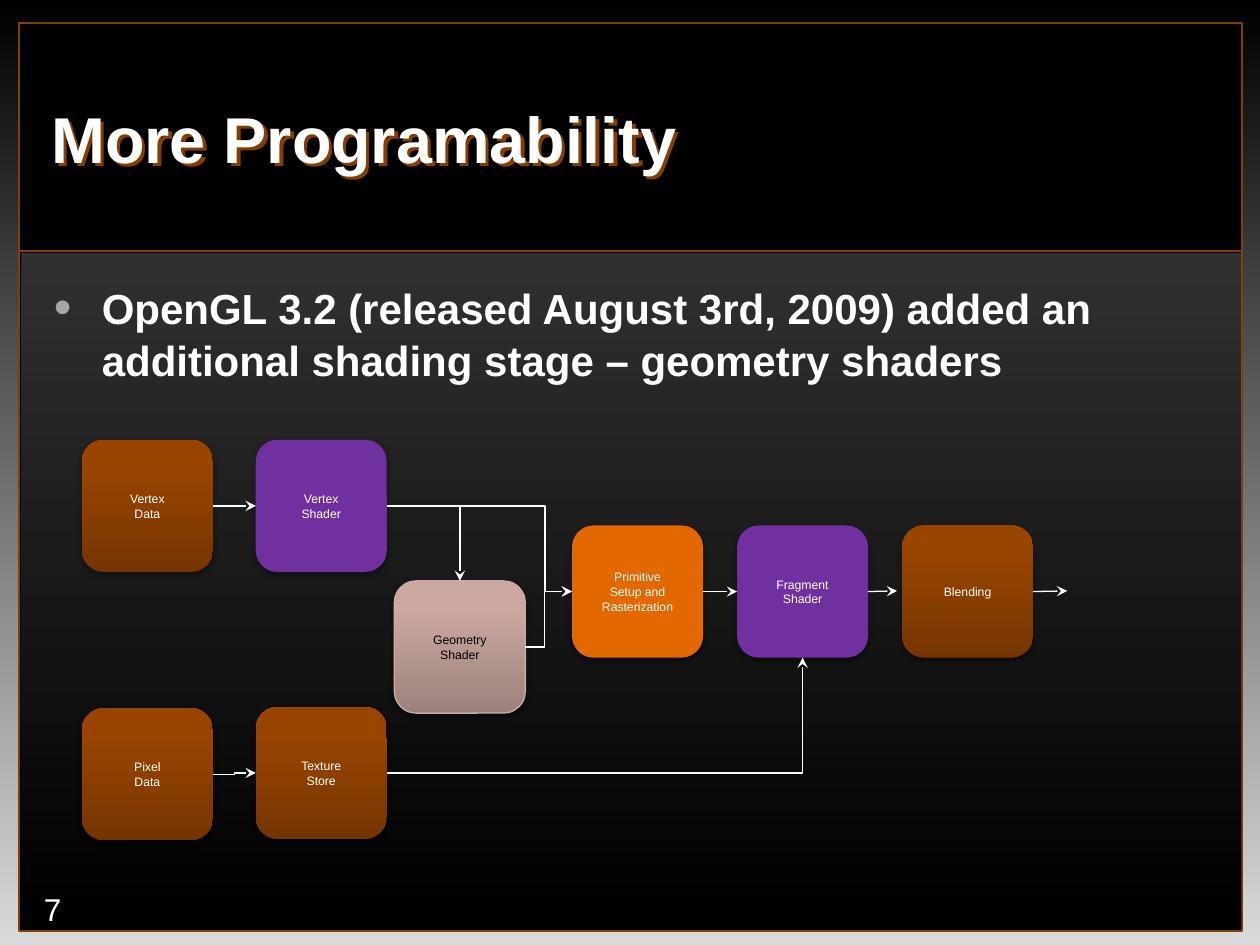
"""Build the slide about the geometry shader stage."""
from typing import NamedTuple, Optional

from lxml.etree import SubElement
from pptx import Presentation
from pptx.dml.color import RGBColor
from pptx.enum.shapes import MSO_CONNECTOR, MSO_SHAPE
from pptx.enum.text import MSO_ANCHOR, PP_ALIGN
from pptx.oxml.ns import qn
from pptx.util import Inches, Pt

RUST, WHITE, BLACK, PURPLE = "863D00", "FFFFFF", "000000", "7030A0"
BROWN = [(0, "763500"), (80, "994500"), (100, "9A4500")]
ROSE = [(0, "9C827B"), (80, "CBA9A0"), (100, "CCA9A0")]
TOP, LEFT, BASE, RIGHT = range(4)
WIDE, HIGH = 1.04, 1.05


class Stage(NamedTuple):
    """A box of the pipeline."""
    name: str
    x: float
    y: float
    fill: object
    lines: list
    ink: str = WHITE
    edge: Optional[str] = None


class Link(NamedTuple):
    """An arrow from one stage to another, or to a free end."""
    start: str
    goal: Optional[str] = None
    kind: str = "line"
    out: int = RIGHT
    into: int = LEFT
    bend: Optional[float] = None
    free: tuple = (0, 0)


STAGES = [
    Stage("setup", 4.54, 4.17, "E46800", ["Primitive", "Setup and Rasterization"]),
    Stage("fragment", 5.85, 4.17, PURPLE, ["Fragment\nShader"]),
    Stage("blend", 7.16, 4.17, BROWN, ["Blending"]),
    Stage("data", 0.65, 3.49, BROWN, ["Vertex\nData"]),
    Stage("pixel", 0.65, 5.62, BROWN, ["Pixel\nData"]),
    Stage("vertex", 2.03, 3.49, PURPLE, ["Vertex\nShader"]),
    Stage("store", 2.03, 5.61, BROWN, ["Texture\nStore"]),
    Stage("geometry", 3.13, 4.61, ROSE, ["Geometry\nShader"], BLACK, "C8ADA5"),
]
LINKS = [
    Link("data", "vertex"),
    Link("vertex", "setup", "bentConnector3", bend=0.855),
    Link("pixel", "store", "bentConnector3", bend=0.5),
    Link("store", "fragment", "bentConnector2", into=BASE),
    Link("setup", "fragment"),
    Link("fragment", free=(7.12, 4.69)),
    Link("blend", free=(8.47, 4.69)),
    Link("vertex", "geometry", "bentConnector2", into=TOP),
    Link("geometry", "setup", "bentConnector3", bend=0.408),
]


def tint(code: str) -> RGBColor:
    """Turn a hex string into a colour."""
    return RGBColor.from_string(code)


def grade(fill, root, stops: list, angle: int, alpha: int = 100) -> None:
    """Give a fill a linear gradient."""
    fill.gradient()
    items = next(root.iter(qn("a:gsLst")))
    for old in list(items):
        items.remove(old)
    for place, code in stops:
        stop = SubElement(items, qn("a:gs"), pos=str(place * 1000))
        hue = SubElement(stop, qn("a:srgbClr"), val=code)
        if alpha < 100:
            SubElement(hue, qn("a:alpha"), val=str(alpha * 1000))
    next(root.iter(qn("a:lin"))).set("ang", str(angle * 60000))


def shade(shape, code: str, alpha: int, blur: float, dist: float, angle: int) -> None:
    """Cast an outer shadow."""
    shape.shadow.inherit = False
    effect = next(shape._element.iter(qn("a:effectLst")))
    outer = SubElement(effect, qn("a:outerShdw"), blurRad=str(Pt(blur)),
                       dist=str(Pt(dist)), dir=str(angle * 60000),
                       algn="ctr", rotWithShape="0")
    hue = SubElement(outer, qn("a:srgbClr"), val=code)
    SubElement(hue, qn("a:alpha"), val=str(alpha * 1000))


def block(slide, kind, x: float, y: float, w: float, h: float, fill,
          edge: Optional[str] = None, width: float = 0.75, angle: int = 270,
          alpha: int = 100):
    """Draw a filled shape."""
    shape = slide.shapes.add_shape(kind, Inches(x), Inches(y), Inches(w), Inches(h))
    shape.shadow.inherit = False
    if isinstance(fill, str):
        shape.fill.solid()
        shape.fill.fore_color.rgb = tint(fill)
    else:
        grade(shape.fill, shape._element, fill, angle, alpha)
    if edge:
        shape.line.color.rgb = tint(edge)
        shape.line.width = Pt(width)
    else:
        shape.line.fill.background()
    return shape


def write(shape, lines: list, size: float, ink: str = WHITE, bold: bool = False,
          align=PP_ALIGN.LEFT, anchor=MSO_ANCHOR.MIDDLE, wrap: bool = True,
          space: float = 1, bullet: Optional[str] = None) -> None:
    """Put formatted paragraphs into a shape."""
    frame = shape.text_frame
    frame.word_wrap = wrap
    frame.vertical_anchor = anchor
    for rank, line in enumerate(lines):
        para = frame.add_paragraph() if rank else frame.paragraphs[0]
        para.text = line
        para.alignment = align
        para.line_spacing = space
        if bullet:
            props = para._p.get_or_add_pPr()
            props.set("marL", str(Inches(0.38)))
            props.set("indent", str(Inches(-0.38)))
            SubElement(SubElement(props, qn("a:buClr")), qn("a:srgbClr"), val=bullet)
            SubElement(props, qn("a:buSzPct"), val="120000")
            SubElement(props, qn("a:buFont"), typeface="Arial")
            SubElement(props, qn("a:buChar"), char="•")
        for gap in para._p.findall(qn("a:br")):
            SubElement(gap, qn("a:rPr"), sz=str(int(size * 100)))
        for run in para.runs:
            run.font.name = "Arial"
            run.font.size = Pt(size)
            run.font.bold = bold
            run.font.color.rgb = tint(ink)


def label(slide, x: float, y: float, w: float, h: float, text: str, size: float, **style):
    """Add a text box with one paragraph."""
    box = slide.shapes.add_textbox(Inches(x), Inches(y), Inches(w), Inches(h))
    write(box, [text], size, **style)
    return box


def stroke(slide, kind, start: tuple, end: tuple, code: str, width: float):
    """Draw a plain connector."""
    ends = [Inches(n) for n in (*start, *end)]
    wire = slide.shapes.add_connector(kind, *ends)
    wire.line.color.rgb = tint(code)
    wire.line.width = Pt(width)
    SubElement(wire._element.spPr, qn("a:effectLst"))
    return wire


def join(slide, link: Link, boxes: dict) -> None:
    """Draw an arrow that starts at a stage."""
    kind = MSO_CONNECTOR.STRAIGHT if link.kind == "line" else MSO_CONNECTOR.ELBOW
    wire = stroke(slide, kind, link.free, link.free, WHITE, 0.75)
    wire.begin_connect(boxes[link.start], link.out)
    if link.goal:
        wire.end_connect(boxes[link.goal], link.into)
    shape = next(wire._element.iter(qn("a:prstGeom")))
    shape.set("prst", link.kind)
    if link.bend is not None:
        SubElement(shape.find(qn("a:avLst")), qn("a:gd"), name="adj1",
                   fmla=f"val {round(link.bend * 100000)}")
    SubElement(next(wire._element.iter(qn("a:ln"))), qn("a:tailEnd"), type="stealth")


def main() -> None:
    """Build and save the slide."""
    deck = Presentation()
    deck.slide_width, deck.slide_height = Inches(10), Inches(7.5)
    slide = deck.slides.add_slide(deck.slide_layouts[6])
    grade(slide.background.fill, slide._element, [(0, BLACK), (100, "DADADA")], 90)
    block(slide, MSO_SHAPE.RECTANGLE, 0.15, 0.18, 9.71, 7.21, BLACK, RUST, 1.25)
    block(slide, MSO_SHAPE.RECTANGLE, 0.17, 2.01, 9.68, 5.36,
          [(0, "7E7E7E"), (100, BLACK)], angle=90, alpha=39)
    stroke(slide, MSO_CONNECTOR.STRAIGHT, (0.15, 1.99), (9.86, 1.99), RUST, 1)
    label(slide, 0.25, 7.1, 0.24, 0.23, "7", 18, wrap=False)
    title = label(slide, 0.31, 0.32, 8.13, 1.51, "More Programability", 37,
                  bold=True, space=1.05)
    shade(title, RUST, 100, 0, 2.8, 45)
    label(slide, 0.33, 2.17, 9.67, 4.5,
          "OpenGL 3.2 (released August 3rd, 2009) added an additional shading stage"
          " – geometry shaders", 24, bold=True, anchor=MSO_ANCHOR.TOP,
          space=1.05, bullet="A9A5A5")
    boxes = {}
    for stage in STAGES:
        box = block(slide, MSO_SHAPE.ROUNDED_RECTANGLE, stage.x, stage.y, WIDE, HIGH,
                    stage.fill, stage.edge)
        shade(box, BLACK, 35, 3.1, 1.8, 90)
        write(box, stage.lines, 7, ink=stage.ink, align=PP_ALIGN.CENTER)
        boxes[stage.name] = box
    for link in LINKS:
        join(slide, link, boxes)
    deck.save("out.pptx")


if __name__ == "__main__":
    main()
